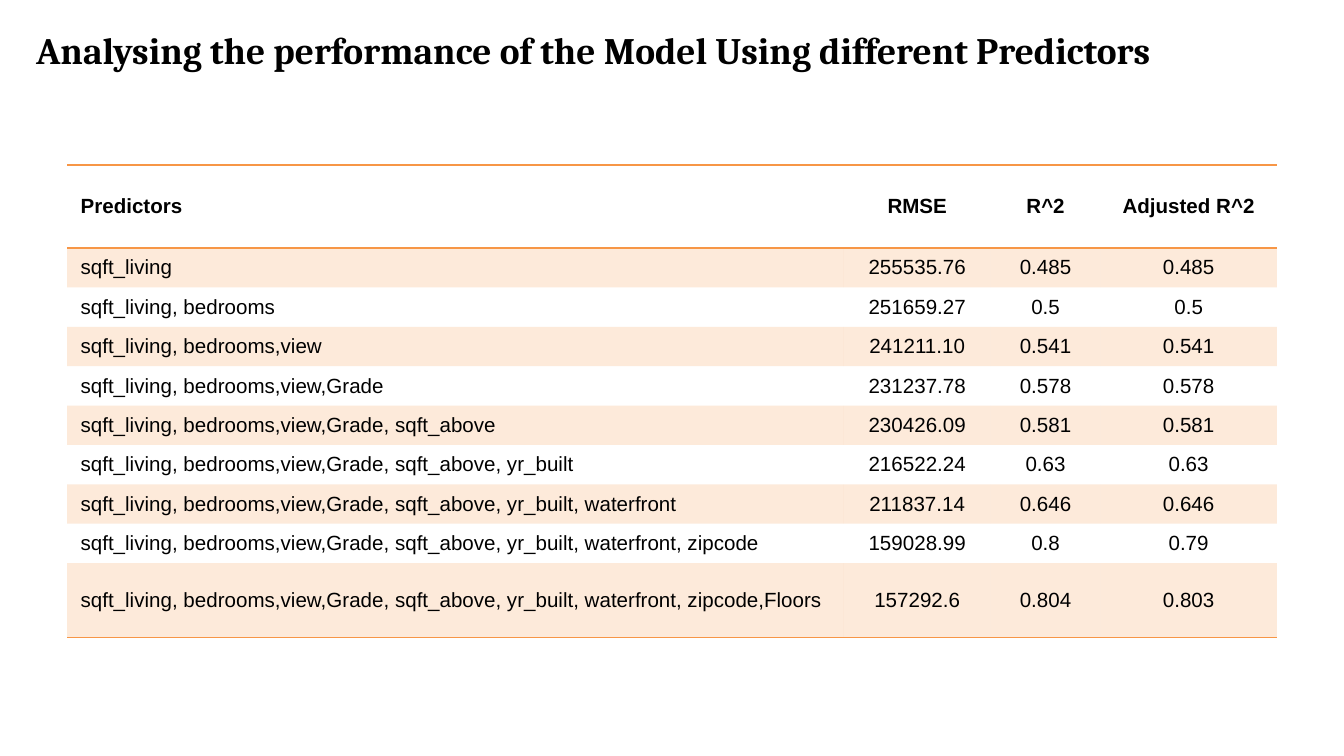
from itertools import accumulate

from lxml import etree
from pptx import Presentation
from pptx.dml.color import RGBColor
from pptx.enum import text
from pptx.oxml import ns
from pptx.util import Cm, Pt

ACCENT = "F79646"
BLACK = "000000"
NO_STYLE = "{2D5ABB26-0587-4C30-8999-92F81FD0307C}"

HEADINGS = ["Predictors", "RMSE", "R^2", "Adjusted R^2"]
# Each model adds one predictor to the model before it
ADDED_PREDICTORS = ["sqft_living", ", bedrooms", ",view", ",Grade", ", sqft_above",
                    ", yr_built", ", waterfront", ", zipcode", ",Floors"]
SCORES = [
    ("255535.76", "0.485", "0.485"),
    ("251659.27", "0.5", "0.5"),
    ("241211.10", "0.541", "0.541"),
    ("231237.78", "0.578", "0.578"),
    ("230426.09", "0.581", "0.581"),
    ("216522.24", "0.63", "0.63"),
    ("211837.14", "0.646", "0.646"),
    ("159028.99", "0.8", "0.79"),
    ("157292.6", "0.804", "0.803"),
]
COLUMN_WIDTHS = [14.68, 2.77, 2.08, 3.33]
HEADER_HEIGHT, LAST_HEIGHT = 1.57, 1.41


def color(hex_string):
    return RGBColor.from_string(hex_string)


def format_paragraph(paragraph, font_name, size, bold, alignment):
    paragraph.alignment = alignment
    font = paragraph.font
    font.name, font.size, font.bold = font_name, Pt(size), bold
    font.color.rgb = color(BLACK)


def add_border(cell, side):
    """Draw one edge of a cell; call before the cell is filled."""
    properties = cell._tc.get_or_add_tcPr()
    line = etree.SubElement(properties, ns.qn(f"a:ln{side}"), w=str(Pt(1)))
    fill = etree.SubElement(line, ns.qn("a:solidFill"))
    etree.SubElement(fill, ns.qn("a:srgbClr"), val=ACCENT)


def fill_cell(cell, shaded):
    if not shaded:
        cell.fill.background()
        return
    cell.fill.solid()
    cell.fill.fore_color.rgb = color(ACCENT)
    tint = cell._tc.tcPr.find(".//" + ns.qn("a:solidFill") + "[last()]")
    for value in cell._tc.tcPr.find(ns.qn("a:solidFill")) if tint is not None else ():
        etree.SubElement(value, ns.qn("a:alpha"), val="20000")


def add_title(slide, left, top, width, height):
    title = slide.shapes.title
    title.left, title.top, title.width, title.height = map(Cm, (left, top, width, height))
    frame = title.text_frame
    frame.text = "Analysing the performance of the Model Using different Predictors"
    frame.word_wrap = False
    frame.vertical_anchor = text.MSO_ANCHOR.TOP
    frame.auto_size = text.MSO_AUTO_SIZE.NONE
    format_paragraph(frame.paragraphs[0], "Cambria", 20, True, text.PP_ALIGN.LEFT)


def add_score_table(slide, left, top, width, height):
    rows = [HEADINGS] + [[predictors, *scores] for predictors, scores
                         in zip(accumulate(ADDED_PREDICTORS), SCORES)]
    last = len(rows) - 1
    frame = slide.shapes.add_table(len(rows), len(HEADINGS),
                                   *map(Cm, (left, top, width, height)))
    table = frame.table
    table.first_row = table.horz_banding = False
    table._tbl.tblPr.find(ns.qn("a:tableStyleId")).text = NO_STYLE

    # Column widths and row heights
    for column, column_width in zip(table.columns, COLUMN_WIDTHS):
        column.width = Cm(column_width)
    middle_height = (height - HEADER_HEIGHT - LAST_HEIGHT) / (last - 1)
    row_heights = [HEADER_HEIGHT] + [middle_height] * (last - 1) + [LAST_HEIGHT]
    for row, row_height in zip(table.rows, row_heights):
        row.height = Cm(row_height)

    # Wording, rules and alternate shading
    for row_index, values in enumerate(rows):
        for column_index, value in enumerate(values):
            cell = table.cell(row_index, column_index)
            cell.text = value
            cell.vertical_anchor = text.MSO_ANCHOR.MIDDLE
            alignment = text.PP_ALIGN.CENTER if column_index else text.PP_ALIGN.LEFT
            format_paragraph(cell.text_frame.paragraphs[0], "Arial", 11,
                             row_index == 0, alignment)
            if row_index == 0:
                add_border(cell, "T")
            if row_index in (0, last):
                add_border(cell, "B")
            fill_cell(cell, shaded=row_index % 2 == 1)


def main():
    presentation = Presentation()
    presentation.slide_width, presentation.slide_height = Cm(25.4), Cm(14.29)
    slide = presentation.slides.add_slide(presentation.slide_layouts[5])
    add_title(slide, 0.43, 0.38, 22.12, 1.12)
    add_score_table(slide, 1.27, 3.12, 22.86, 8.94)
    presentation.save("out.pptx")


if __name__ == "__main__":
    main()
